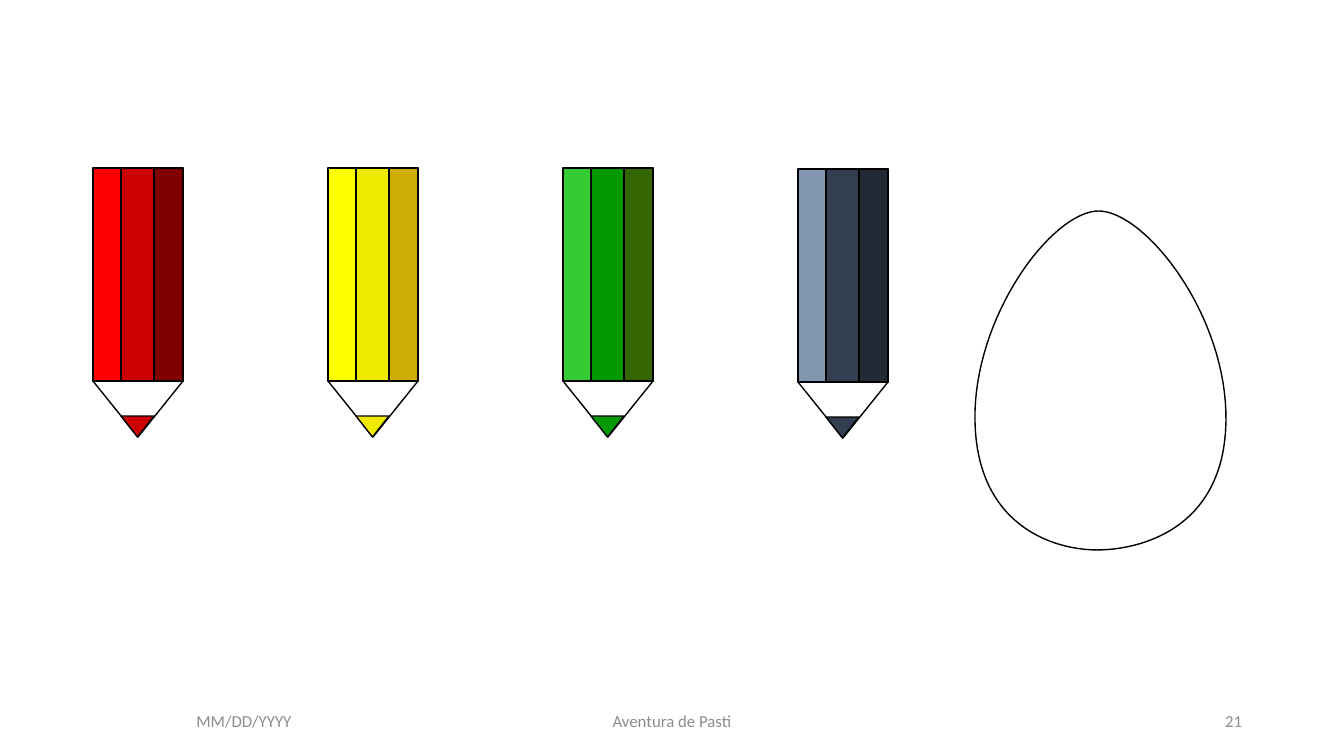
import pptx
import pptx.util
import pptx.dml.color
import pptx.enum.shapes
import pptx.enum.text

# Content: lengths in px, 100.8 px to the inch
SCALE = 914400 / 100.8
SIZE = (1344, 756)
FOOTER = [
    ("MM/DD/YYYY", 93, 302, "CENTER"),
    ("Aventura de Pasti", 445, 454, "CENTER"),
    ("21", 949, 303, "RIGHT"),
]
FOOT_TOP, FOOT_HIGH = 701, 40
FONT = {"name": "Calibri", "size": pptx.util.Pt(12)}

# Light, middle and dark side of each pencil, and its top
PENCILS = [
    ("FF0000", "CC0000", "800000", 168),
    ("FFFF00", "F0EA00", "CEAD08", 168),
    ("33CC33", "009900", "336600", 168),
    ("8497B0", "333F50", "222A35", 169),
]
LEFT, PITCH = 93, 235
WIDE, BODY, TIP, LEAD = 90, 213, 56, 21
SIDE, MID = 28, 33

# Egg outline: start, then cubic curves (two handles and an end)
START = (1099, 211)
CURVES = [
    ((1052, 211), (973, 317), (975, 421)),
    ((977, 527), (1055, 550), (1097, 550)),
    ((1139, 550), (1224, 530), (1226, 422)),
    ((1228, 316), (1146, 212), (1099, 211)),
]
STEPS = 32


def emu(px):
    return round(px * SCALE)


def color(code):
    return pptx.dml.color.RGBColor.from_string(code)


def style(shape, fill):
    shape.shadow.inherit = False
    if fill:
        shape.fill.solid()
        shape.fill.fore_color.rgb = color(fill)
    else:
        shape.fill.background()
    shape.line.color.rgb = color("000000")
    shape.line.width = pptx.util.Pt(1)


def part(group, kind, box, fill, turn=0):
    shape = group.shapes.add_shape(kind, *map(emu, box))
    shape.rotation = turn
    style(shape, fill)


def pencil(slide, left, top, light, middle, dark):
    rect = pptx.enum.shapes.MSO_SHAPE.RECTANGLE
    cone = pptx.enum.shapes.MSO_SHAPE.ISOSCELES_TRIANGLE
    group = slide.shapes.add_group_shape()
    inner, neck = left + SIDE, top + BODY
    edge = inner + MID
    part(group, rect, (left, top, WIDE, BODY), light)
    part(group, rect, (inner, top, MID, BODY), middle)
    part(group, cone, (left, neck, WIDE, TIP), None, 180)
    part(group, cone, (inner, neck + TIP - LEAD, MID, LEAD), middle, 180)
    part(group, rect, (edge, top, left + WIDE - edge, BODY), dark)


def curve(a, b, c, d):
    for step in range(1, STEPS + 1):
        t = step / STEPS
        u = 1 - t
        yield tuple(
            emu(u**3 * p + 3 * u * u * t * q + 3 * u * t * t * r + t**3 * s)
            for p, q, r, s in zip(a, b, c, d)
        )


def egg(slide):
    dots, last = [], START
    for one, two, end in CURVES:
        dots += curve(last, one, two, end)
        last = end
    form = slide.shapes.build_freeform(*map(emu, START))
    form.add_line_segments(dots, close=True)
    style(form.convert_to_shape(), "FFFFFF")


def label(slide, text, left, wide, align):
    box = slide.shapes.add_textbox(*map(emu, (left, FOOT_TOP, wide, FOOT_HIGH)))
    frame = box.text_frame
    frame.word_wrap = True
    frame.vertical_anchor = pptx.enum.text.MSO_ANCHOR.MIDDLE
    para = frame.paragraphs[0]
    para.alignment = pptx.enum.text.PP_ALIGN[align]
    run = para.add_run()
    run.text = text
    for key, value in FONT.items():
        setattr(run.font, key, value)
    run.font.color.rgb = color("8C8C8C")


def main():
    deck = pptx.Presentation()
    deck.slide_width, deck.slide_height = map(emu, SIZE)
    slide = deck.slides.add_slide(deck.slide_layouts[6])

    # Footer
    for item in FOOTER:
        label(slide, *item)

    # Pencils in a row, then the egg
    for index, (light, middle, dark, top) in enumerate(PENCILS):
        pencil(slide, LEFT + index * PITCH, top, light, middle, dark)
    egg(slide)

    deck.save("out.pptx")


if __name__ == "__main__":
    main()
